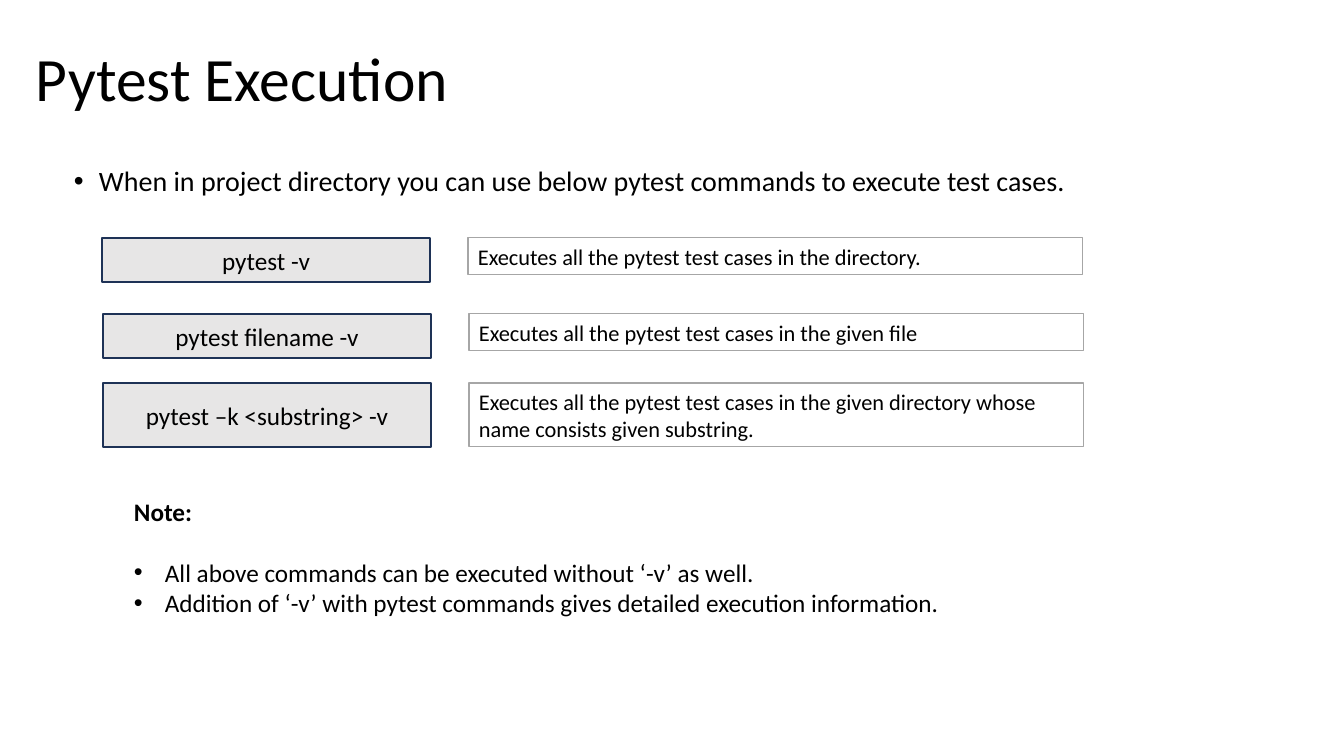
from dataclasses import dataclass

from lxml.etree import SubElement
from pptx import Presentation
from pptx.dml.color import RGBColor as Color
from pptx.enum.shapes import MSO_SHAPE as Shape
from pptx.enum.text import MSO_ANCHOR as Anchor, PP_ALIGN as Align
from pptx.oxml.ns import qn
from pptx.util import Emu, Pt

EMU_PER_PIXEL = 914400 / 100.8


def px(pixels):
    """Turn pixels into EMU."""
    return Emu(round(pixels * EMU_PER_PIXEL))


@dataclass(frozen=True)
class Theme:
    """Fonts, colours and type sizes of the slide."""
    font: str = "Calibri"
    ink: str = "000000"
    command_fill: str = "E7E6E6"
    command_line: str = "1E3256"
    meaning_line: str = "A6A6A6"
    title: int = 44
    lead: int = 20
    command: int = 18
    meaning: int = 16
    note: int = 18


class SlideBuilder:
    """Draws styled elements on the current slide."""

    def __init__(self, page, theme):
        """Keep the slide and its style."""
        self.page = page
        self.theme = theme

    def add_text(self, frame, text, *, size, bold=False, align=Align.LEFT,
                 spacing=1.0, before=0, hang=0):
        """Add one formatted paragraph; a hang in pixels makes it a bullet."""
        para = frame.paragraphs[0]
        if para.runs:
            para = frame.add_paragraph()
        para.alignment = align
        para.line_spacing = spacing
        para.space_before = Pt(before)
        if hang:
            props = para._p.get_or_add_pPr()
            props.set("marL", str(px(hang)))
            props.set("indent", str(-px(hang)))
            SubElement(props, qn("a:buFont"), typeface="Arial")
            SubElement(props, qn("a:buChar"), char="•")
        span = para.add_run()
        span.text = text
        span.font.name = self.theme.font
        span.font.size = Pt(size)
        span.font.bold = bold
        span.font.color.rgb = Color.from_string(self.theme.ink)

    def text_area(self, left, top, width, height, anchor=Anchor.TOP):
        """Add a wrapping text box and return its frame."""
        box = self.page.shapes.add_textbox(*map(px, (left, top, width, height)))
        frame = box.text_frame
        frame.word_wrap = True
        frame.vertical_anchor = anchor
        return frame

    def panel(self, left, top, width, height, text, *, line, weight,
              fill=None, anchor=Anchor.TOP, **text_format):
        """Add an outlined rectangle with one paragraph."""
        box = self.page.shapes.add_shape(
            Shape.RECTANGLE, *map(px, (left, top, width, height)))
        box.shadow.inherit = False
        if fill:
            box.fill.solid()
            box.fill.fore_color.rgb = Color.from_string(fill)
        else:
            box.fill.background()
        box.line.color.rgb = Color.from_string(line)
        box.line.width = Pt(weight)
        box.text_frame.word_wrap = True
        box.text_frame.vertical_anchor = anchor
        self.add_text(box.text_frame, text, **text_format)

    def command_row(self, left, top, command_height, meaning_height,
                    command, meaning):
        """Add a command and, beside it, what it does."""
        theme = self.theme
        self.panel(left, top, 328, command_height, command,
                   fill=theme.command_fill, line=theme.command_line, weight=1,
                   anchor=Anchor.MIDDLE, align=Align.CENTER, size=theme.command)
        self.panel(left + 366, top, 615, meaning_height, meaning,
                   line=theme.meaning_line, weight=0.75, size=theme.meaning)


COMMANDS = [
    (102, 238, 44, 37, "pytest -v",
     "Executes all the pytest test cases in the directory."),
    (103, 314, 44, 37, "pytest filename -v",
     "Executes all the pytest test cases in the given file"),
    (103, 383, 64, 64, "pytest –k <substring> -v",
     "Executes all the pytest test cases in the given directory whose "
     "name consists given substring."),
]


def main():
    """Build and save the slide."""
    theme = Theme()
    deck = Presentation()
    deck.slide_width, deck.slide_height = px(1344), px(756)
    page = deck.slides.add_slide(deck.slide_layouts[6])
    builder = SlideBuilder(page, theme)

    title = builder.text_area(26, 9, 1159, 146, anchor=Anchor.MIDDLE)
    builder.add_text(title, "Pytest Execution", size=theme.title, spacing=0.9)

    lead = builder.text_area(64, 162, 1159, 480)
    builder.add_text(lead, "When in project directory you can use below pytest "
                     "commands to execute test cases.",
                     size=theme.lead, spacing=0.9, hang=25)

    for row in COMMANDS:
        builder.command_row(*row)

    note = builder.text_area(124, 491, 989, 163)
    builder.add_text(note, "Note:", size=theme.note, bold=True)
    builder.add_text(note, "All above commands can be executed without ‘-v’ as well.",
                     size=theme.note, before=22, hang=31)
    builder.add_text(note, "Addition of ‘-v’ with pytest commands gives detailed "
                     "execution information.", size=theme.note, hang=31)

    deck.save("out.pptx")


main()
